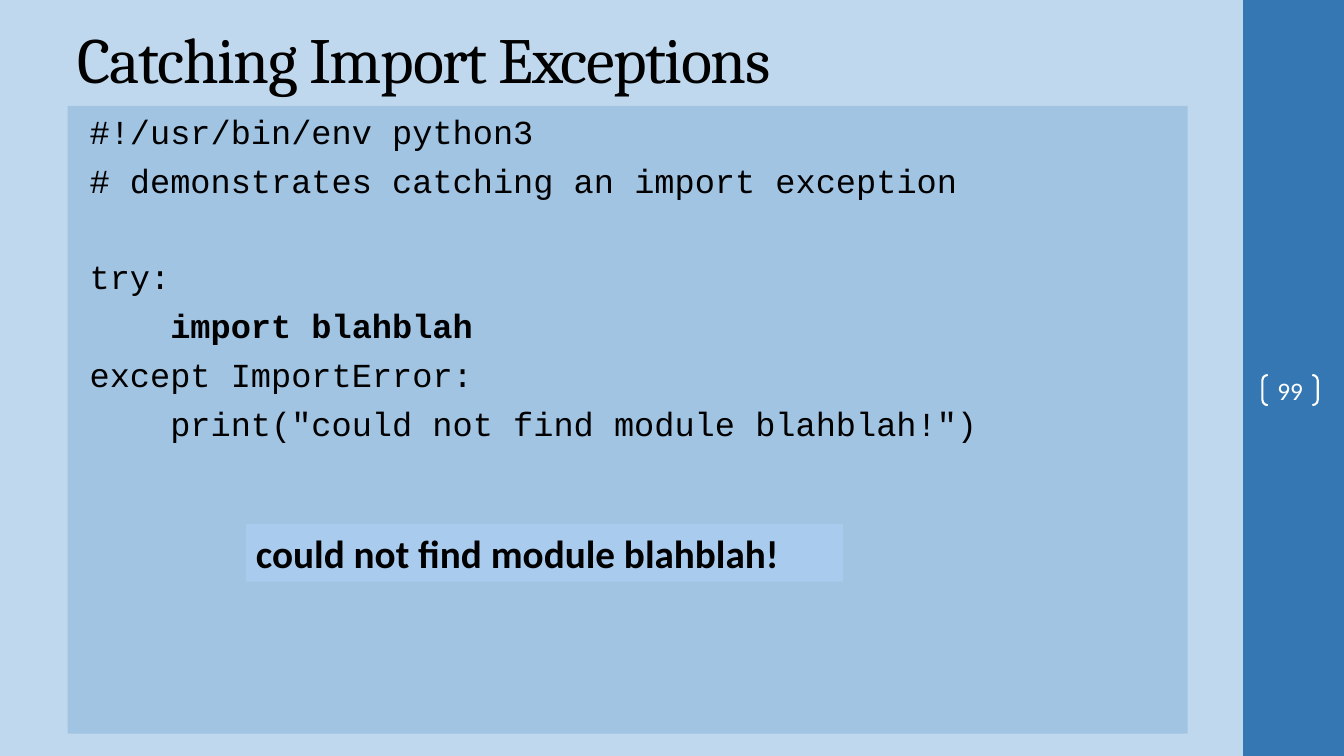
from pptx import Presentation
from pptx.dml.color import RGBColor
from pptx.enum.shapes import MSO_SHAPE as Shape
from pptx.enum.text import MSO_ANCHOR as Anchor, MSO_AUTO_SIZE as AutoSize, PP_ALIGN as Align
from pptx.util import Inches, Pt

BLACK, WHITE = "000000", "FFFFFF"
CODE_SIZE = 24
CHARACTER = 0.2      # width of one code character, inches
LINE_GAP = 6.3       # space above each code line, points
BLANK_LINE = 33.5    # extra space where the code skips a line, points

# (text, indent in characters, bold, follows a skipped line)
CODE = [
    ("#!/usr/bin/env python3", 0, False, False),
    ("# demonstrates catching an import exception", 0, False, False),
    ("try:", 0, False, True),
    ("import blahblah", 4, True, False),
    ("except ImportError:", 0, False, False),
    ('print("could not find module blahblah!")', 4, False, False),
]


def color(value):
    return RGBColor.from_string(value)


def set_font(run, ink, **values):
    for name, value in values.items():
        setattr(run.font, name, value)
    run.font.color.rgb = color(ink)


def add_panel(slide, box, fill=None, kind=Shape.RECTANGLE):
    shape = slide.shapes.add_shape(kind, *map(Inches, box))
    shape.shadow.inherit = False
    shape.line.fill.background()
    if fill:
        shape.fill.solid()
        shape.fill.fore_color.rgb = color(fill)
    else:
        shape.fill.background()
    return shape


def add_title(slide, box, text):
    title = slide.shapes.title
    title.left, title.top, title.width, title.height = map(Inches, box)
    frame = title.text_frame
    frame.auto_size = AutoSize.NONE
    frame.vertical_anchor = Anchor.MIDDLE
    paragraph = frame.paragraphs[0]
    paragraph.alignment = Align.LEFT
    run = paragraph.add_run()
    run.text = text
    set_font(run, BLACK, name="Cambria", size=Pt(46))
    run.font._element.set("spc", "-100")


def add_code(slide, box, lines):
    frame = add_panel(slide, box, "A1C4E3").text_frame
    frame.word_wrap = True
    frame.vertical_anchor = Anchor.TOP
    for number, (text, indent, bold, skipped) in enumerate(lines):
        paragraph = frame.add_paragraph() if number else frame.paragraphs[0]
        paragraph.alignment = Align.LEFT
        paragraph.space_before = Pt(LINE_GAP + BLANK_LINE * skipped)
        margin = Inches(0.12 + indent * CHARACTER)
        paragraph._p.get_or_add_pPr().set("marL", str(margin))
        run = paragraph.add_run()
        run.text = text
        set_font(run, BLACK, name="Courier New", size=Pt(CODE_SIZE), bold=bold)


def add_output(slide, box, text):
    frame = add_panel(slide, box, "A9CCEE").text_frame
    frame.word_wrap = True
    frame.vertical_anchor = Anchor.TOP
    paragraph = frame.paragraphs[0]
    paragraph.alignment = Align.LEFT
    run = paragraph.add_run()
    run.text = text
    set_font(run, BLACK, name="Calibri", size=Pt(28), bold=True)


def add_sidebar(slide, box, number):
    left, top, width, height = box
    add_panel(slide, box, "3477B2")
    # Page number in brackets
    badge = add_panel(slide, (left + 0.19, top + 3.72, 0.55, 0.3),
                      kind=Shape.DOUBLE_BRACKET)
    badge.adjustments[0] = 0.18
    badge.line.color.rgb = color(WHITE)
    badge.line.width = Pt(1.5)
    frame = badge.text_frame
    for side in ("left", "top", "right", "bottom"):
        setattr(frame, f"margin_{side}", 0)
    frame.word_wrap = True
    frame.vertical_anchor = Anchor.MIDDLE
    paragraph = frame.paragraphs[0]
    paragraph.alignment = Align.CENTER
    run = paragraph.add_run()
    run.text = number
    set_font(run, WHITE, name="Calibri", size=Pt(18))


def main():
    presentation = Presentation()
    presentation.slide_width = Inches(13.33)
    presentation.slide_height = Inches(7.5)
    slide = presentation.slides.add_slide(presentation.slide_layouts[5])
    slide.background.fill.solid()
    slide.background.fill.fore_color.rgb = color("C0D8ED")

    left, width = 0.67, 11.11
    add_sidebar(slide, (12.33, 0, 1, 7.5), "99")
    add_title(slide, (left, 0.09, width, 0.96), "Catching Import Exceptions")
    add_code(slide, (left, 1.05, width, 6.23), CODE)
    add_output(slide, (2.44, 5.2, 5.92, 0.57), "could not find module blahblah!")
    presentation.save("out.pptx")


if __name__ == "__main__":
    main()
